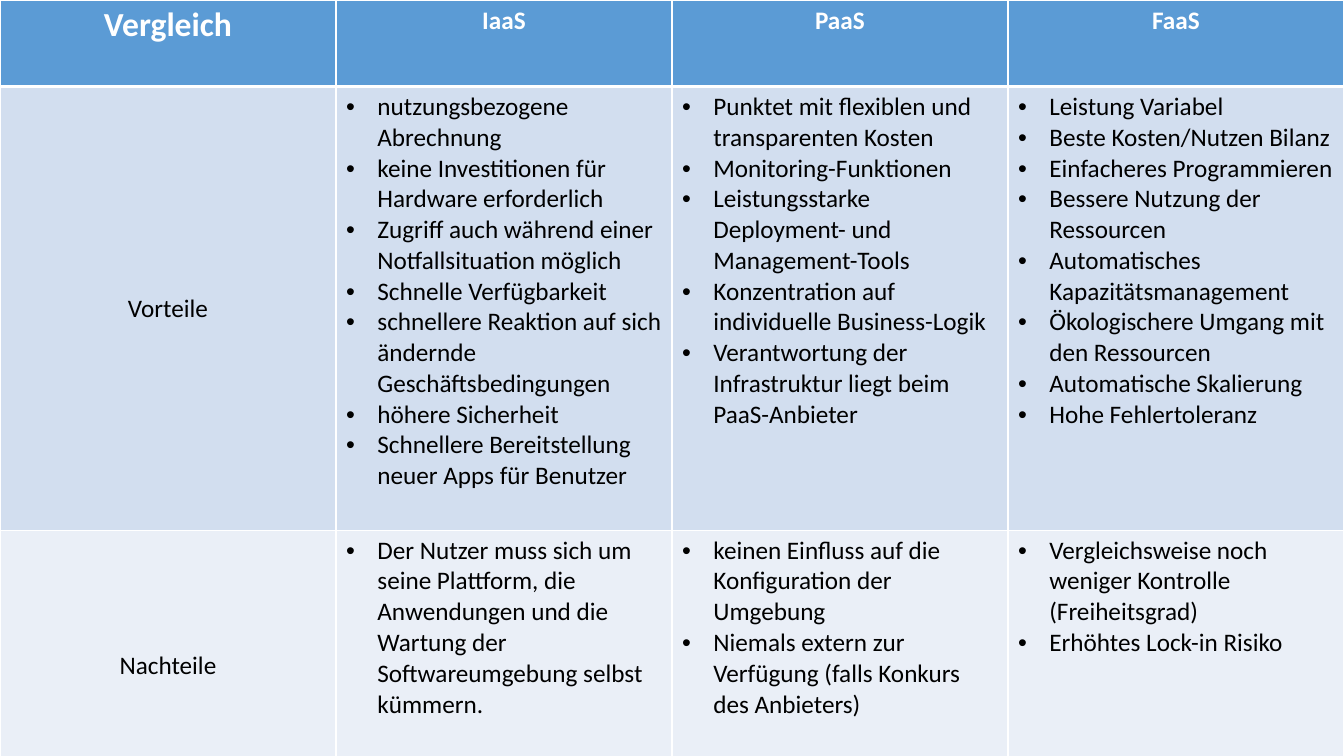
from dataclasses import dataclass

from lxml import etree
from pptx import Presentation
from pptx.dml.color import RGBColor
from pptx.enum.text import MSO_ANCHOR, PP_ALIGN
from pptx.oxml.ns import qn
from pptx.util import Cm, Pt

CENTER, LEFT = PP_ALIGN.CENTER, PP_ALIGN.LEFT
TOP, MIDDLE = MSO_ANCHOR.TOP, MSO_ANCHOR.MIDDLE


@dataclass(frozen=True)
class Theme:
    """Colours, font, type sizes and line widths of the slide."""
    font: str = "Calibri"
    header_fill: str = "5B9BD5"
    body_fills: tuple = ("D2DEEF", "EAEFF7")
    header_text: str = "FFFFFF"
    body_text: str = "000000"
    border: str = "FFFFFF"
    title_size: int = 24
    text_size: int = 18
    thin_line: int = 1
    header_line: int = 3


THEME = Theme()
SLIDE_WIDTH, SLIDE_HEIGHT = Cm(33.87), Cm(19.05)
ROW_HEIGHTS = (Cm(2.18), Cm(11.18), Cm(6.83))
BULLET_INDENT = Cm(0.79)

HEADERS = ("Vergleich", "IaaS", "PaaS", "FaaS")
COMPARISON = (
    ("Vorteile", (
        ("nutzungsbezogene Abrechnung",
         "keine Investitionen für Hardware erforderlich",
         "Zugriff auch während einer Notfallsituation möglich",
         "Schnelle Verfügbarkeit",
         "schnellere Reaktion auf sich ändernde Geschäftsbedingungen",
         "höhere Sicherheit",
         "Schnellere Bereitstellung neuer Apps für Benutzer"),
        ("Punktet mit flexiblen und transparenten Kosten",
         "Monitoring-Funktionen",
         "Leistungsstarke Deployment- und Management-Tools",
         "Konzentration auf individuelle Business-Logik",
         "Verantwortung der Infrastruktur liegt beim PaaS-Anbieter"),
        ("Leistung Variabel",
         "Beste Kosten/Nutzen Bilanz",
         "Einfacheres Programmieren",
         "Bessere Nutzung der Ressourcen",
         "Automatisches Kapazitätsmanagement",
         "Ökologischere Umgang mit den Ressourcen",
         "Automatische Skalierung",
         "Hohe Fehlertoleranz"),
    )),
    ("Nachteile", (
        ("Der Nutzer muss sich um seine Plattform, die Anwendungen und die "
         "Wartung der Softwareumgebung selbst kümmern.",),
        ("keinen Einfluss auf die Konfiguration der Umgebung",
         "Niemals extern zur Verfügung (falls Konkurs des Anbieters)"),
        ("Vergleichsweise noch weniger Kontrolle (Freiheitsgrad)",
         "Erhöhtes Lock-in Risiko"),
    )),
)


def style_cell(cell, fill, top_line, bottom_line):
    """Fill a cell and draw its four borders."""
    cell.fill.solid()
    cell.fill.fore_color.rgb = RGBColor.from_string(fill)
    properties = cell._tc.get_or_add_tcPr()
    sides = (("lnL", THEME.thin_line), ("lnR", THEME.thin_line),
             ("lnT", top_line), ("lnB", bottom_line))
    for position, (side, width) in enumerate(sides):
        line = etree.Element(qn(f"a:{side}"), w=str(Pt(width)))
        solid = etree.SubElement(line, qn("a:solidFill"))
        etree.SubElement(solid, qn("a:srgbClr"), val=THEME.border)
        properties.insert(position, line)


def add_bullet(paragraph):
    """Give a paragraph a hanging round bullet."""
    properties = paragraph._p.get_or_add_pPr()
    properties.set("marL", str(BULLET_INDENT))
    properties.set("indent", str(-BULLET_INDENT))
    etree.SubElement(properties, qn("a:buFont"), typeface="Arial")
    etree.SubElement(properties, qn("a:buChar"), char="•")


def write_cell(cell, lines, color, size=THEME.text_size, bold=False,
               alignment=CENTER, anchor=TOP, bulleted=False):
    """Write one paragraph per line into a cell."""
    cell.vertical_anchor = anchor
    frame = cell.text_frame
    for index, line in enumerate(lines):
        paragraph = frame.add_paragraph() if index else frame.paragraphs[0]
        paragraph.alignment = alignment
        if bulleted:
            add_bullet(paragraph)
        run = paragraph.add_run()
        run.text = line
        run.font.name = THEME.font
        run.font.size = Pt(size)
        run.font.bold = bold
        run.font.color.rgb = RGBColor.from_string(color)


def fill_header(table):
    """Write the header row."""
    for column, header in enumerate(HEADERS):
        cell = table.cell(0, column)
        style_cell(cell, THEME.header_fill, THEME.thin_line, THEME.header_line)
        size = THEME.text_size if column else THEME.title_size
        write_cell(cell, (header,), THEME.header_text, size, bold=True)


def fill_body(table):
    """Write the labelled rows with their bulleted lists."""
    for row, (label, lists) in enumerate(COMPARISON, start=1):
        top_line = THEME.header_line if row == 1 else THEME.thin_line
        for cell in table.rows[row].cells:
            style_cell(cell, THEME.body_fills[row - 1], top_line, THEME.thin_line)
        write_cell(table.cell(row, 0), (label,), THEME.body_text, anchor=MIDDLE)
        for column, points in enumerate(lists, start=1):
            write_cell(table.cell(row, column), points, THEME.body_text,
                       alignment=LEFT, bulleted=True)


def add_comparison_table(slide, left, top, width):
    """Place the comparison table at the given corner and width."""
    shape = slide.shapes.add_table(len(ROW_HEIGHTS), len(HEADERS),
                                   left, top, width, sum(ROW_HEIGHTS))
    table = shape.table
    for column in table.columns:
        column.width = width // len(HEADERS)
    for row, height in zip(table.rows, ROW_HEIGHTS):
        row.height = height
    fill_header(table)
    fill_body(table)


def main():
    """Build the slide and save it."""
    presentation = Presentation()
    presentation.slide_width = SLIDE_WIDTH
    presentation.slide_height = SLIDE_HEIGHT
    slide = presentation.slides.add_slide(presentation.slide_layouts[6])
    add_comparison_table(slide, Cm(0), Cm(0), SLIDE_WIDTH)
    presentation.save("out.pptx")


if __name__ == "__main__":
    main()
